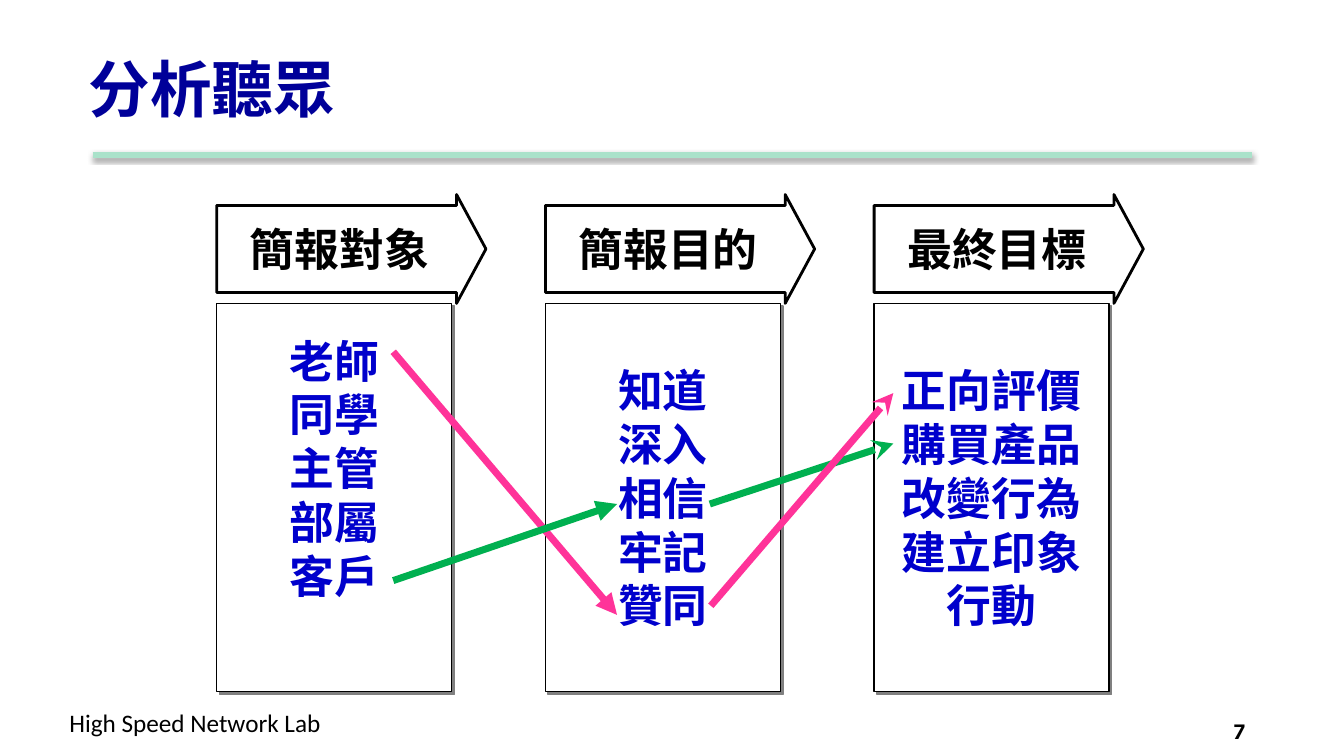
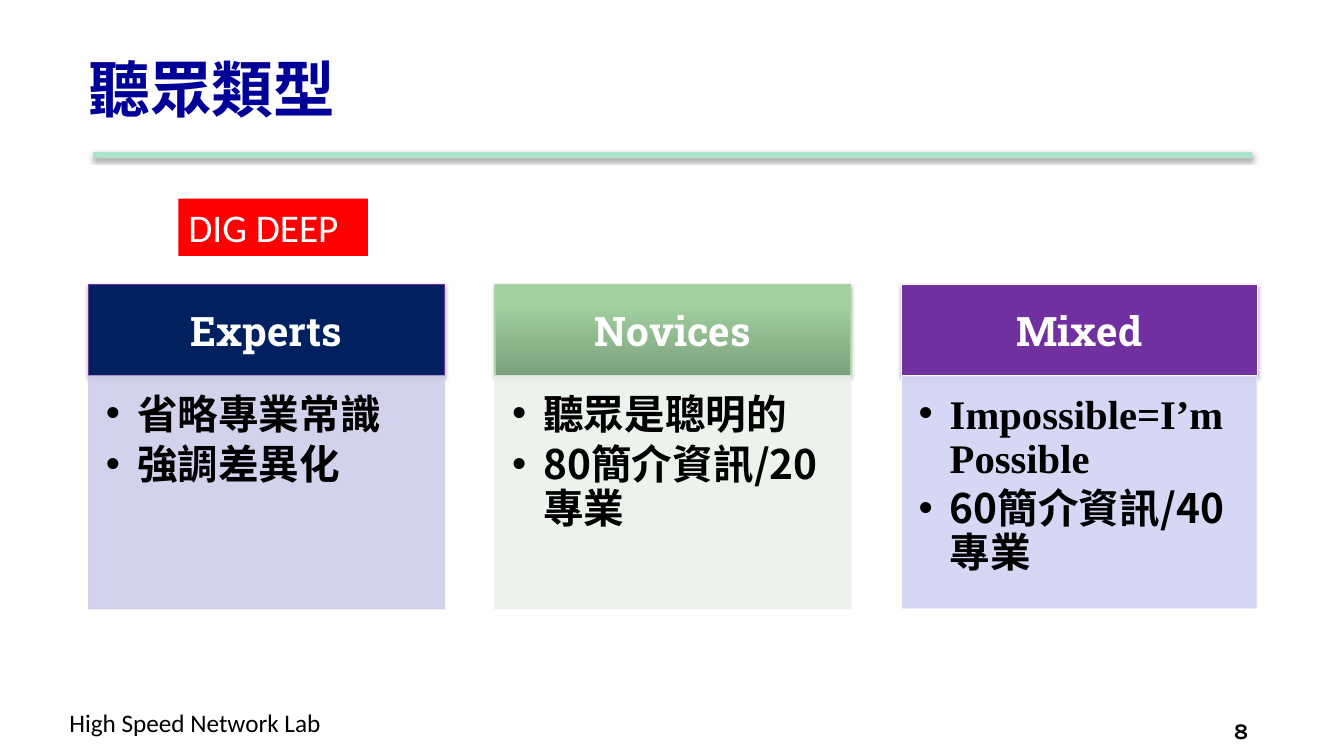
from dataclasses import dataclass
from typing import NamedTuple, Optional

from lxml import etree
from pptx import Presentation
from pptx.dml.color import RGBColor
from pptx.enum.shapes import MSO_CONNECTOR, MSO_SHAPE
from pptx.enum.text import MSO_ANCHOR, PP_ALIGN
from pptx.oxml.ns import qn
from pptx.util import Inches, Pt

RECT, ARROW = MSO_SHAPE.RECTANGLE, MSO_SHAPE.RIGHT_ARROW
STRAIGHT = MSO_CONNECTOR.STRAIGHT
LEFT, CENTER = PP_ALIGN.LEFT, PP_ALIGN.CENTER
TOP, MIDDLE = MSO_ANCHOR.TOP, MSO_ANCHOR.MIDDLE
TITLE_ONLY = 5


@dataclass(frozen=True)
class Theme:
    black: str = "000000"
    white: str = "FFFFFF"
    title: str = "000099"
    rule: str = "AAE2CA"
    item: str = "0000CC"
    pink: str = "FF3399"
    green: str = "00B050"
    red: str = "FF0000"
    sans: str = "Calibri"
    cjk: str = "Noto Sans CJK SC"
    slab: str = "Roboto Slab"
    serif: str = "Times New Roman"
    number: str = "Karla"
    title_size: int = 44
    flow_size: int = 32
    card_size: int = 29
    tag_size: int = 28
    footer_size: int = 18
    number_size: int = 16


THEME = Theme()


class Box(NamedTuple):
    left: float
    top: float
    width: float
    height: float


class Style(NamedTuple):
    face: str
    size: float
    color: str
    bold: bool = True
    align: PP_ALIGN = LEFT


class Shadow(NamedTuple):
    color: str
    alpha: int
    blur: float
    distance: float
    angle: int


class Stage(NamedTuple):
    heading: str
    items: list[str]
    bottom_inset: float = 0.05


class Link(NamedTuple):
    start: tuple[float, float]
    end: tuple[float, float]
    color: str
    head: str


class Bullet(NamedTuple):
    text: str
    face: str = THEME.cjk


class Card(NamedTuple):
    heading: str
    fill: tuple[str, ...]  # two colours make a gradient, bottom to top
    border: str
    panel: str
    panel_border: str
    bullets: list[Bullet]


RULE_SHADOW = Shadow(THEME.black, 38, 3.1, 1.6, 90)
BOX_SHADOW = Shadow("808080", 100, 0, 2.8, 45)
CARD_SHADOW = Shadow(THEME.black, 35, 3.1, 1.8, 90)

STAGES = [
    Stage("簡報對象", ["老師", "同學", "主管", "部屬", "客戶"], 0.64),
    Stage("簡報目的", ["知道", "深入", "相信", "牢記", "贊同"]),
    Stage("最終目標", ["正向評價", "購買產品", "改變行為", "建立印象", "行動"]),
]
LINKS = [
    Link((7.04, 5), (8.86, 4.4), THEME.green, "stealth"),
    Link((3.9, 3.49), (6.12, 6.1), THEME.pink, "triangle"),
    Link((7.05, 6.01), (8.86, 3.9), THEME.pink, "stealth"),
    Link((3.9, 5.76), (6.12, 5), THEME.green, "triangle"),
]
CARDS = [
    Card("Experts", ("002060",), "7030A0", "CECEEC", "CECEEC",
         [Bullet("省略專業常識"), Bullet("強調差異化")]),
    Card("Novices", ("7CA17C", "A1D1A1"), "ACD2AC", "EAF2EA", "EAF2EA",
         [Bullet("聽眾是聰明的"), Bullet("80簡介資訊/20專業")]),
    Card("Mixed", ("7030A0",), THEME.white, "D2D2F4", THEME.white,
         [Bullet("Impossible=I’m Possible", THEME.serif),
          Bullet("60簡介資訊/40專業")]),
]


# Shared helpers
def rgb(color: str) -> RGBColor:
    return RGBColor.from_string(color)


def inches(values) -> list:
    return [Inches(value) for value in values]


def style_paragraph(paragraph, style: Style) -> None:
    paragraph.alignment = style.align
    font = paragraph.font
    font.name, font.size, font.bold = style.face, Pt(style.size), style.bold
    font.color.rgb = rgb(style.color)
    defaults = paragraph._p.pPr.find(qn("a:defRPr"))
    etree.SubElement(defaults, qn("a:ea"), typeface=style.face)


def write(shape, lines: list[str], style: Style, anchor=TOP,
          insets=(0.1, 0.05, 0.1, 0.05)) -> None:
    frame = shape.text_frame
    frame.word_wrap, frame.vertical_anchor = True, anchor
    (frame.margin_left, frame.margin_top,
     frame.margin_right, frame.margin_bottom) = inches(insets)
    frame.text = "\n".join(lines)
    for paragraph in frame.paragraphs:
        style_paragraph(paragraph, style)


def add_shadow(shape, shadow: Optional[Shadow]) -> None:
    properties = shape._element.spPr
    effects = properties.find(qn("a:effectLst"))
    if effects is None:
        effects = etree.SubElement(properties, qn("a:effectLst"))
    if shadow:
        outer = etree.SubElement(
            effects, qn("a:outerShdw"), blurRad=str(Pt(shadow.blur)),
            dist=str(Pt(shadow.distance)), dir=str(shadow.angle * 60000),
            algn="ctr", rotWithShape="0")
        color = etree.SubElement(outer, qn("a:srgbClr"), val=shadow.color)
        etree.SubElement(color, qn("a:alpha"), val=str(shadow.alpha * 1000))


def add_block(slide, kind, box: Box, fill: tuple[str, ...],
              border: Optional[str] = None, weight: float = 1,
              shadow: Optional[Shadow] = None):
    block = slide.shapes.add_shape(kind, *inches(box))
    block.shadow.inherit = False
    if len(fill) == 1:
        block.fill.solid()
        block.fill.fore_color.rgb = rgb(fill[0])
    else:
        block.fill.gradient()
        block.fill.gradient_angle = 90
        stops = zip(block.fill.gradient_stops, fill, (0, 0.8))
        for stop, color, position in stops:
            stop.color.rgb, stop.position = rgb(color), position
    if border:
        block.line.color.rgb, block.line.width = rgb(border), Pt(weight)
    else:
        block.line.fill.background()
    add_shadow(block, shadow)
    return block


def add_line(slide, start, end, color: str, weight: float,
             shadow: Optional[Shadow] = None, head: Optional[str] = None) -> None:
    line = slide.shapes.add_connector(STRAIGHT, *inches((*start, *end)))
    line.line.color.rgb, line.line.width = rgb(color), Pt(weight)
    if head:
        etree.SubElement(line._element.spPr.find(qn("a:ln")),
                         qn("a:tailEnd"), type=head)
    add_shadow(line, shadow)


def make_translucent(shape, percent: int) -> None:
    for color in shape._element.spPr.iter(qn("a:srgbClr")):
        etree.SubElement(color, qn("a:alpha"), val=str(percent * 1000))


def add_label(slide, box: Box, text: str, style: Style) -> None:
    write(slide.shapes.add_textbox(*inches(box)), [text], style)


def new_slide(prs, title: str, number: int):
    slide = prs.slides.add_slide(prs.slide_layouts[TITLE_ONLY])
    heading = slide.shapes.title
    (heading.left, heading.top,
     heading.width, heading.height) = inches(Box(0.78, 0.25, 11.33, 1.25))
    write(heading, [title],
          Style(THEME.cjk, THEME.title_size, THEME.title), MIDDLE)
    add_line(slide, (0.92, 1.54), (12.42, 1.54), THEME.rule, 4.5, RULE_SHADOW)
    add_label(slide, Box(0.59, 6.97, 2.79, 0.4), "High Speed Network Lab",
              Style(THEME.sans, THEME.footer_size, THEME.black, False))
    add_label(slide, Box(12.14, 7.07, 0.99, 0.3), str(number),
              Style(THEME.number, THEME.number_size, THEME.black))
    return slide


# Audience analysis: three stages joined by arrows
def add_stage(slide, left: float, stage: Stage) -> None:
    panel = add_block(slide, RECT, Box(left, 3.01, 2.33, 3.85),
                      (THEME.white,), THEME.black, 1, BOX_SHADOW)
    write(panel, stage.items,
          Style(THEME.sans, THEME.flow_size, THEME.item, align=CENTER),
          MIDDLE, (0.1, 0.05, 0.1, stage.bottom_inset))
    banner = add_block(slide, ARROW, Box(left, 1.93, 2.67, 1.08),
                       (THEME.white,), THEME.black, 2)
    banner.adjustments[0], banner.adjustments[1] = 0.8, 0.27
    write(banner, [stage.heading],
          Style(THEME.sans, THEME.flow_size, THEME.black, align=CENTER), MIDDLE)


def build_analysis(prs) -> None:
    slide = new_slide(prs, "分析聽眾", 7)
    for index, stage in enumerate(STAGES):
        add_stage(slide, 2.15 + 3.26 * index, stage)
    for link in LINKS:
        add_line(slide, link.start, link.end, link.color, 5, head=link.head)


# Audience types: three cards with bullets
def add_bullets(panel, bullets: list[Bullet]) -> None:
    frame = panel.text_frame
    frame.word_wrap, frame.vertical_anchor = True, TOP
    (frame.margin_left, frame.margin_top,
     frame.margin_right, frame.margin_bottom) = inches((0.17, 0.17, 0.23, 0.25))
    frame.text = "\n".join(bullet.text for bullet in bullets)
    for paragraph, bullet in zip(frame.paragraphs, bullets):
        paragraph.line_spacing, paragraph.space_after = Pt(31.5), Pt(4.5)
        properties = paragraph._p.get_or_add_pPr()
        properties.set("marL", str(Inches(0.31)))
        properties.set("indent", str(Inches(-0.31)))
        etree.SubElement(properties, qn("a:buFont"), typeface="Arial")
        etree.SubElement(properties, qn("a:buChar"), char="•")
        style_paragraph(paragraph,
                        Style(bullet.face, THEME.card_size, THEME.black))


def add_card(slide, left: float, card: Card) -> None:
    header = add_block(slide, RECT, Box(left, 2.82, 3.53, 0.91),
                       card.fill, card.border, 0.75, CARD_SHADOW)
    write(header, [card.heading],
          Style(THEME.slab, THEME.card_size, THEME.white, align=CENTER),
          MIDDLE, (0.23, 0.13, 0.23, 0.13))
    panel = add_block(slide, RECT, Box(left, 3.73, 3.53, 2.31),
                      (card.panel,), card.panel_border, 0.75)
    make_translucent(panel, 90)
    add_bullets(panel, card.bullets)


def build_types(prs) -> None:
    slide = new_slide(prs, "聽眾類型", 8)
    for index, card in enumerate(CARDS):
        add_card(slide, 0.88 + 4.03 * index, card)
    tag = add_block(slide, RECT, Box(1.77, 1.97, 1.88, 0.57), (THEME.red,))
    write(tag, ["DIG DEEP"],
          Style(THEME.sans, THEME.tag_size, THEME.white, False))


def main() -> None:
    prs = Presentation()
    prs.slide_width, prs.slide_height = inches((13.33, 7.5))
    build_analysis(prs)
    build_types(prs)
    prs.save("out.pptx")


if __name__ == "__main__":
    main()
